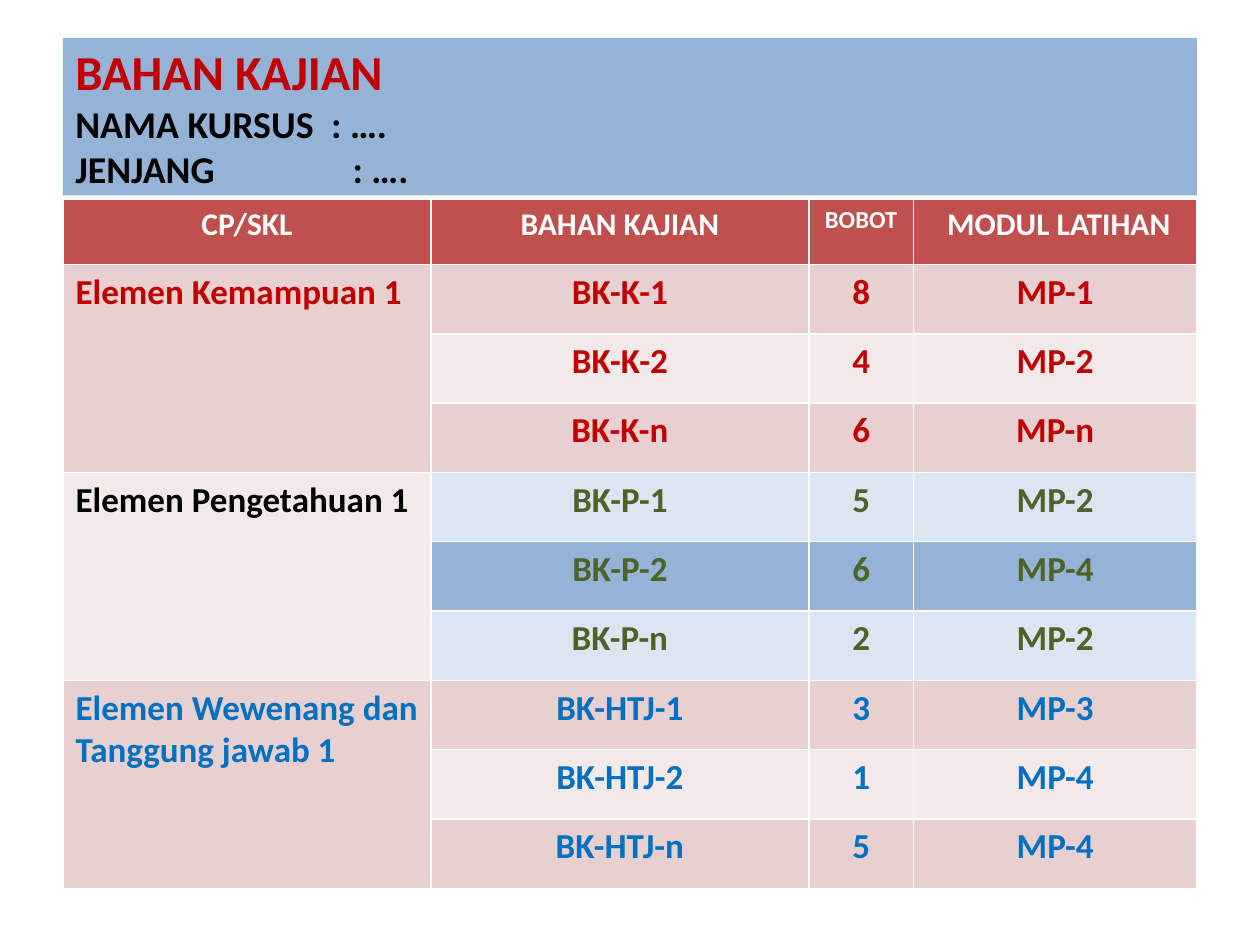
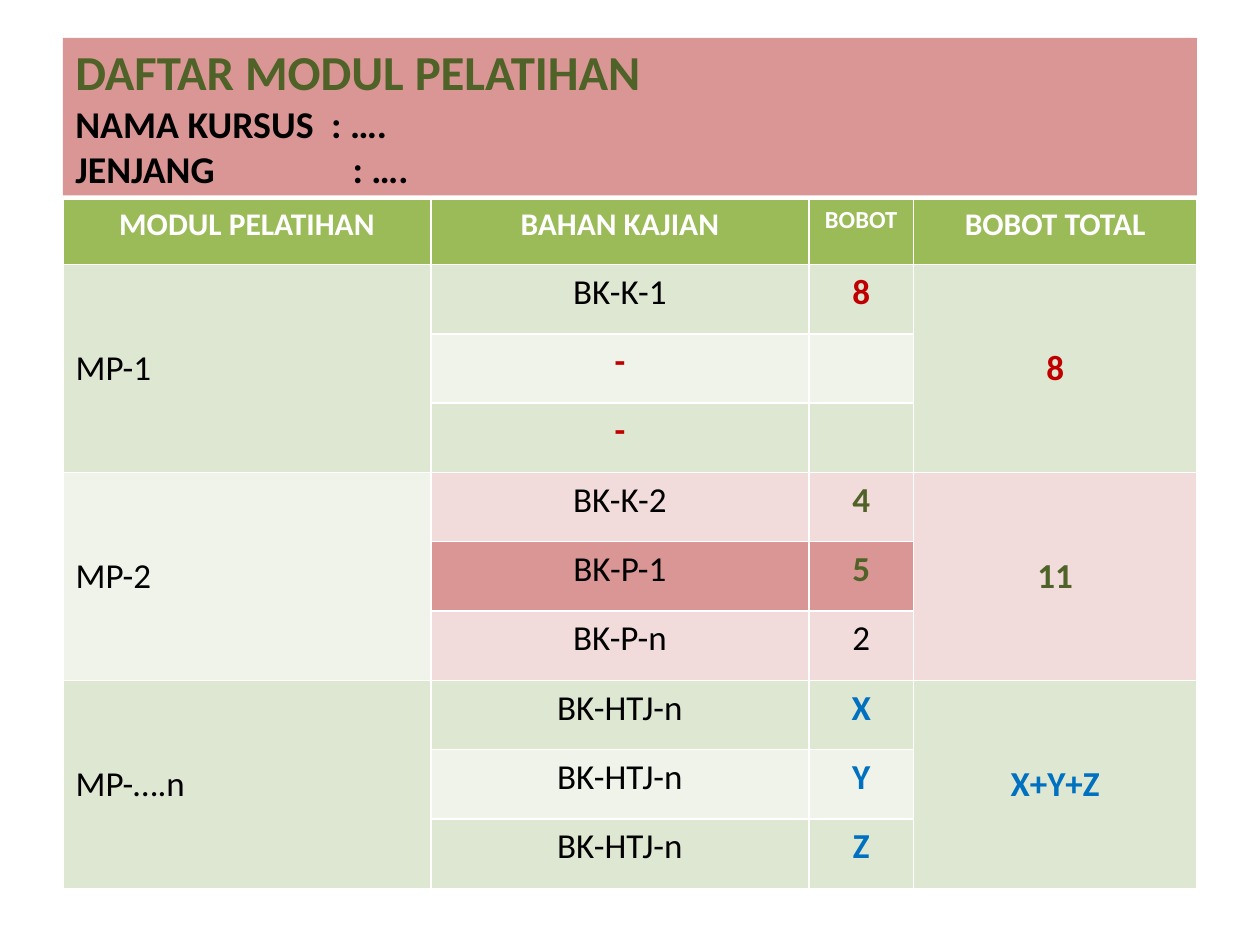
from pptx import Presentation
from pptx.dml.color import RGBColor
from pptx.enum.shapes import MSO_SHAPE
from pptx.enum.text import MSO_ANCHOR, PP_ALIGN
from pptx.oxml import parse_xml
from pptx.oxml.ns import nsdecls
from pptx.util import Inches, Pt

RECT = MSO_SHAPE.RECTANGLE
TOP, MIDDLE = MSO_ANCHOR.TOP, MSO_ANCHOR.MIDDLE
LEFT, CENTER = PP_ALIGN.LEFT, PP_ALIGN.CENTER

# Shared colours
WHITE = RGBColor(0xFF, 0xFF, 0xFF)
BLACK = RGBColor(0x00, 0x00, 0x00)
RED = RGBColor(0xC0, 0x00, 0x00)
GREEN = RGBColor(0x4F, 0x62, 0x28)
BLUE = RGBColor(0x00, 0x70, 0xC0)
SKY = RGBColor(0x95, 0xB3, 0xD7)
ICE = RGBColor(0xDC, 0xE6, 0xF2)
BRICK = RGBColor(0xC0, 0x50, 0x4D)
ROSE = RGBColor(0xE8, 0xD0, 0xD0)
BLUSH = RGBColor(0xF4, 0xE9, 0xE9)
CORAL = RGBColor(0xD9, 0x96, 0x94)
PINK = RGBColor(0xF2, 0xDC, 0xDB)
LEAF = RGBColor(0x9B, 0xBB, 0x59)
SAGE = RGBColor(0xDE, 0xE7, 0xD1)
MINT = RGBColor(0xEF, 0xF3, 0xEA)

# Shared grid, in inches
WIDE, HIGH = 10, 7.5
SIDE = WIDE * 0.05
FULL = WIDE - 2 * SIDE
BAND_Y, BAND_H = HIGH * 0.04, HIGH / 6
GRID_Y = 1.58
COLS = [2.92, 3, 0.83, 2.25]
HEAD_H, ROW_H = 0.52, 0.55
SPAN = 3
INKS = [RED, GREEN, BLUE]
COURSE = [("NAMA KURSUS\t: ….", 2.03), ("JENJANG\t: ….", 2.2)]

# "plain" lists the beginnings of texts set in regular black
SLIDES = [
    dict(
        title="BAHAN KAJIAN", ink=RED, band=SKY, head=BRICK,
        heads=["CP/SKL", "BAHAN KAJIAN", "BOBOT", " MODUL LATIHAN"],
        light=(ROSE, BLUSH), mid=(ICE, SKY), plain=(),
        joined=[0], anchor=TOP, labels=[RED, BLACK, BLUE],
        rows=[
            ["Elemen Kemampuan 1", "BK-K-1", "8", "MP-1"],
            ["", "BK-K-2", "4", "MP-2"],
            ["", "BK-K-n", "6", "MP-n"],
            ["Elemen Pengetahuan 1", "BK-P-1", "5", "MP-2"],
            ["", "BK-P-2", "6", "MP-4"],
            ["", "BK-P-n", "2", "MP-2"],
            ["Elemen Wewenang dan Tanggung jawab 1", "BK-HTJ-1", "3", "MP-3"],
            ["", "BK-HTJ-2", "1", "MP-4"],
            ["", "BK-HTJ-n", "5", "MP-4"],
        ],
    ),
    dict(
        title="DAFTAR MODUL PELATIHAN", ink=GREEN, band=CORAL, head=LEAF,
        heads=["MODUL PELATIHAN", "BAHAN KAJIAN", "BOBOT", "BOBOT TOTAL"],
        light=(SAGE, MINT), mid=(PINK, CORAL), plain=("MP", "BK", "2"),
        joined=[0, 3], anchor=MIDDLE, labels=[BLACK] * 3,
        rows=[
            ["MP-1", "BK-K-1", "8", "8"],
            ["", "-", "", ""],
            ["", "-", "", ""],
            ["MP-2", "BK-K-2", "4", "11"],
            ["", "BK-P-1", "5", ""],
            ["", "BK-P-n", "2", ""],
            ["MP-….n", "BK-HTJ-n", "X", "X+Y+Z"],
            ["", "BK-HTJ-n", "Y", ""],
            ["", "BK-HTJ-n", "Z", ""],
        ],
    ),
]


def write(para, text, size=20, ink=BLACK, bold=True, align=CENTER, tab=None):
    para.alignment = align
    if tab:
        para._p.get_or_add_pPr().append(parse_xml(
            f'<a:tabLst {nsdecls("a")}><a:tab pos="{Inches(tab)}" algn="l"/></a:tabLst>'))
    run = para.add_run()
    run.text = text
    font = run.font
    font.name, font.size, font.bold = "Calibri", Pt(size), bold
    font.color.rgb = ink


def paint(cell, fill):
    cell.fill.solid()
    cell.fill.fore_color.rgb = fill


deck = Presentation()
deck.slide_width, deck.slide_height = Inches(WIDE), Inches(HIGH)

for page in SLIDES:
    slide = deck.slides.add_slide(deck.slide_layouts[6])

    # Title band
    band = slide.shapes.add_shape(
        RECT, Inches(SIDE), Inches(BAND_Y), Inches(FULL), Inches(BAND_H))
    band.shadow.inherit = False
    band.fill.solid()
    band.fill.fore_color.rgb = page["band"]
    band.line.fill.background()
    frame = band.text_frame
    frame.word_wrap = True
    frame.vertical_anchor = MIDDLE
    write(frame.paragraphs[0], page["title"], size=27.9, ink=page["ink"], align=LEFT)
    for text, tab in COURSE:
        write(frame.add_paragraph(), text, size=21.6, align=LEFT, tab=tab)

    # Table grid
    count = len(page["rows"])
    table = slide.shapes.add_table(
        count + 1, len(COLS), Inches(SIDE), Inches(GRID_Y),
        Inches(FULL), Inches(HEAD_H + count * ROW_H)).table
    for col, width in zip(table.columns, COLS):
        col.width = Inches(width)
    for row in table.rows:
        row.height = Inches(ROW_H)
    table.rows[0].height = Inches(HEAD_H)

    # Header row
    for c, text in enumerate(page["heads"]):
        cell = table.cell(0, c)
        paint(cell, page["head"])
        write(cell.text_frame.paragraphs[0], text,
              size=14 if text == "BOBOT" else 18, ink=WHITE)

    # Body rows, in groups that share an ink
    for r, row in enumerate(page["rows"]):
        group, step = divmod(r, SPAN)
        tones = page["mid"] if group == 1 else page["light"]
        for c, text in enumerate(row):
            cell = table.cell(r + 1, c)
            paint(cell, page["light"][group % 2] if c == 0 else tones[step % 2])
            if c in page["joined"] and step == 0:
                cell.merge(table.cell(r + SPAN, c))
                cell.vertical_anchor = page["anchor"]
            if text:
                plain = text.startswith(page["plain"])
                ink = page["labels"][group] if c == 0 else INKS[group]
                write(cell.text_frame.paragraphs[0], text,
                      ink=BLACK if plain else ink, bold=not plain,
                      align=LEFT if c == 0 else CENTER)

deck.save("out.pptx")
